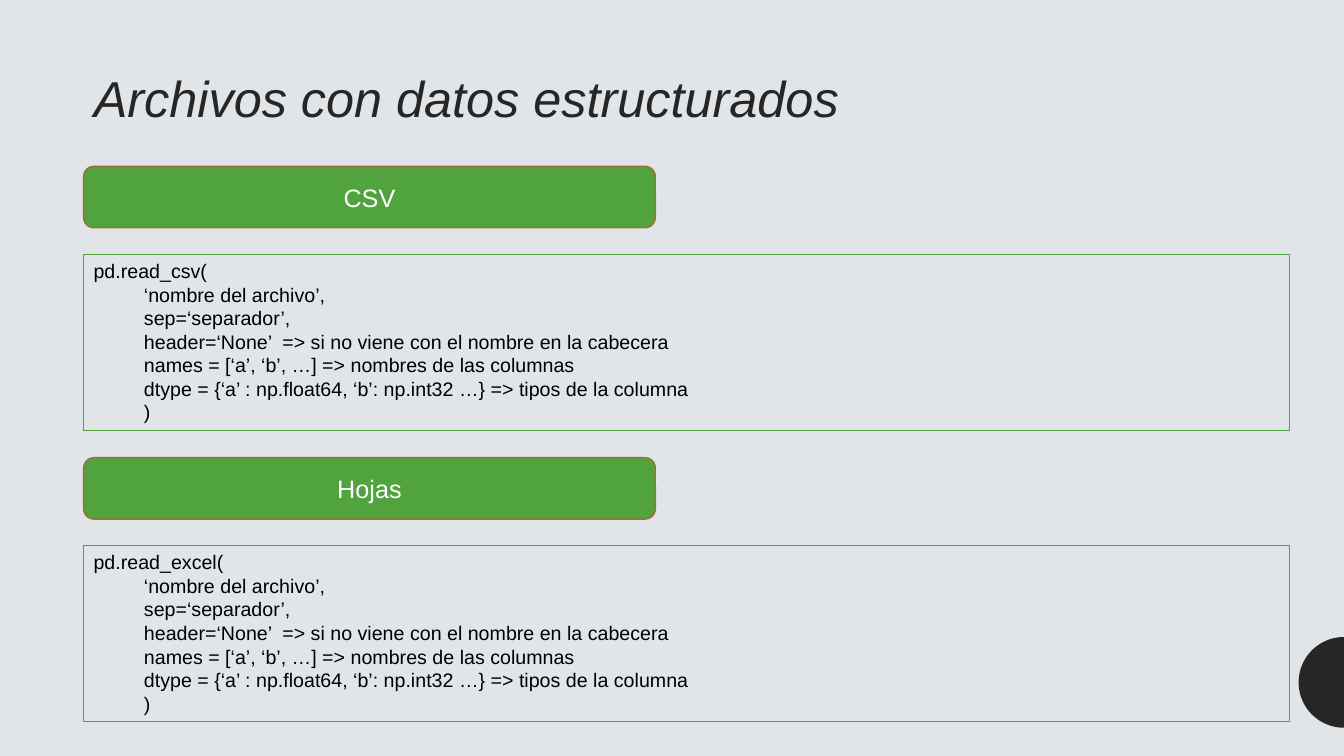
from dataclasses import dataclass
from math import cos, pi, sin

from pptx import Presentation
from pptx.dml.color import RGBColor as RGB
from pptx.enum.shapes import MSO_SHAPE as Shape
from pptx.enum.text import MSO_ANCHOR as Anchor, PP_ALIGN as Align
from pptx.util import Inches, Pt


@dataclass(frozen=True)
class Theme:
    back: str = "E2E5E8"
    dark: str = "262626"
    green: str = "51A33D"
    brown: str = "9B6F3C"
    white: str = "FFFFFF"
    black: str = "000000"
    font: str = "Arial"
    title: int = 36
    head: int = 18
    code: int = 14


@dataclass(frozen=True)
class Box:
    x: float
    y: float
    w: float
    h: float

    def emu(self):
        return [Inches(v) for v in (self.x, self.y, self.w, self.h)]


LOOK = Theme()
WIDE, HIGH = 13.33, 7.5
LEFT = 0.83
STEP = 2.89
ARGS = [
    "‘nombre del archivo’,",
    "sep=‘separador’,",
    "header=‘None’  => si no viene con el nombre en la cabecera",
    "names = [‘a’, ‘b’, …] => nombres de las columnas",
    "dtype = {‘a’ : np.float64, ‘b’: np.int32 …} => tipos de la columna",
    ")",
]
CALLS = [("CSV", "pd.read_csv("), ("Hojas", "pd.read_excel(")]


def write(frame, lines, size, color, align=Align.LEFT, anchor=Anchor.MIDDLE,
          italic=False, space=None):
    frame.word_wrap = True
    frame.vertical_anchor = anchor
    for i, line in enumerate(lines):
        para = frame.paragraphs[0] if i == 0 else frame.add_paragraph()
        if i:
            para.level = 1
            para._p.get_or_add_pPr().set("marL", str(Inches(0.5)))
        para.alignment = align
        para.line_spacing = space
        run = para.add_run()
        run.text = line
        font = run.font
        font.name, font.size, font.italic = LOOK.font, Pt(size), italic
        font.bold = False
        font.color.rgb = RGB.from_string(color)


def paint(shape, fill=None, line=None, width=1):
    shape.shadow.inherit = False
    if fill:
        shape.fill.solid()
        shape.fill.fore_color.rgb = RGB.from_string(fill)
    else:
        shape.fill.background()
    if line:
        shape.line.color.rgb = RGB.from_string(line)
        shape.line.width = Pt(width)
    else:
        shape.line.fill.background()


def title(slide, box, text):
    shape = slide.shapes.title
    shape.left, shape.top, shape.width, shape.height = box.emu()
    write(shape.text_frame, [text], LOOK.title, LOOK.dark, italic=True, space=1.1)


def badge(slide, box):
    radius = box.h / 2
    turns = [pi / 2 + pi * i / 48 for i in range(49)]
    dots = [(Inches(box.x + box.w + box.w * cos(t)),
             Inches(box.y + radius - radius * sin(t))) for t in turns]
    form = slide.shapes.build_freeform(*dots[0])
    form.add_line_segments(dots[1:], close=True)
    paint(form.convert_to_shape(), LOOK.dark)


def panel(slide, box, name, call):
    bar = Box(box.x, box.y, 5.67, 0.61)
    head = slide.shapes.add_shape(Shape.ROUNDED_RECTANGLE, *bar.emu())
    paint(head, LOOK.green, LOOK.brown)
    write(head.text_frame, [name], LOOK.head, LOOK.white, align=Align.CENTER)
    area = Box(box.x, box.y + 0.87, box.w, box.h - 0.87)
    code = slide.shapes.add_shape(Shape.RECTANGLE, *area.emu())
    paint(code, line=LOOK.green, width=0.75)
    write(code.text_frame, [call, *ARGS], LOOK.code, LOOK.black, anchor=Anchor.TOP)


def main():
    deck = Presentation()
    deck.slide_width, deck.slide_height = Inches(WIDE), Inches(HIGH)
    slide = deck.slides.add_slide(deck.slide_layouts[5])
    slide.background.fill.solid()
    slide.background.fill.fore_color.rgb = RGB.from_string(LOOK.back)
    badge(slide, Box(WIDE - 0.45, 6.32, 0.45, 0.9))
    title(slide, Box(LEFT, 0.49, WIDE - 2 * LEFT, 0.9),
          "Archivos con datos estructurados")
    for row, (name, call) in enumerate(CALLS):
        panel(slide, Box(LEFT, 1.65 + row * STEP, 11.96, 2.62), name, call)
    deck.save("out.pptx")


if __name__ == "__main__":
    main()
